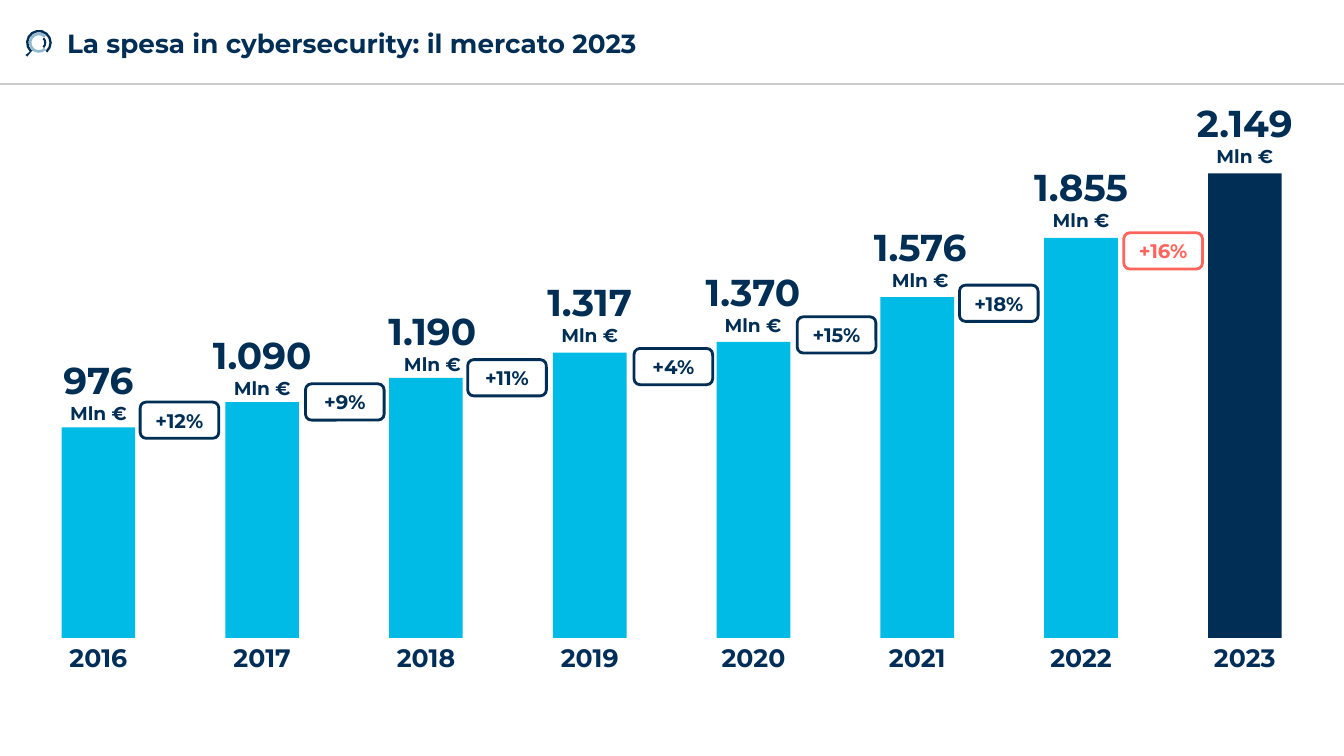
import math
import pptx
import pptx.util
import pptx.dml.color
import pptx.enum.shapes
import pptx.enum.text
from lxml import etree

Pt = pptx.util.Pt
Shape = pptx.enum.shapes.MSO_SHAPE
Align = pptx.enum.text.PP_ALIGN
Anchor = pptx.enum.text.MSO_ANCHOR
Fit = pptx.enum.text.MSO_AUTO_SIZE

COLORS = {"navy": "002E54", "year": "002E58", "cyan": "00BBE6", "coral": "FF655C",
          "steel": "91B9D0", "rule": "CCCCCC", "white": "FFFFFF"}

# year, value, bar height, label shift (x, y), growth to next year,
# badge place (right of bar middle, above bar top)
DATA = [
    ("2016", "976", 150.5, (0, 2.4), "+12%", (29.8, 18)),
    ("2017", "1.090", 168.5, (0, 2.4), "+9%", (30.9, 13)),
    ("2018", "1.190", 185.8, (4.6, 2.4), "+11%", (29.8, 13)),
    ("2019", "1.317", 203.8, (0, -0.4), "+4%", (31.6, 3)),
    ("2020", "1.370", 211.4, (-0.4, 0), "+15%", (31.2, 18)),
    ("2021", "1.576", 243.4, (2.1, 0), "+18%", (30.1, 8.6)),
    ("2022", "1.855", 285.8, (0, -0.4), "+16%", (30.5, 3.6)),
    ("2023", "2.149", 331.9, (0, 0), None, None),
]


def color(name):
    return pptx.dml.color.RGBColor.from_string(COLORS[name])


def paint(shape, fill, line=None):
    shape.shadow.inherit = False
    shape.fill.solid()
    shape.fill.fore_color.rgb = color(fill)
    if line:
        shape.line.color.rgb = color(line)
        shape.line.width = Pt(2)
    else:
        shape.line.fill.background()


def write(frame, lines, tint, align=Align.CENTER):
    """Fill a frame with one paragraph for each (text, size) pair."""
    for i, (text, size) in enumerate(lines):
        para = frame.add_paragraph() if i else frame.paragraphs[0]
        para.alignment = align
        run = para.add_run()
        run.text = text
        run.font.name = "Montserrat"
        run.font.size = Pt(size)
        run.font.bold = True
        run.font.color.rgb = color(tint)


def add_text(slide, box, lines, tint, align=Align.CENTER, anchor=Anchor.TOP,
             fit=Fit.SHAPE_TO_FIT_TEXT):
    frame = slide.shapes.add_textbox(*map(Pt, box)).text_frame
    frame.word_wrap = True
    frame.auto_size = fit
    frame.vertical_anchor = anchor
    write(frame, lines, tint, align)


def add_path(slide, points, fill):
    fine = [(x * 100, y * 100) for x, y in points]
    path = slide.shapes.build_freeform(*fine[0], scale=Pt(1) / 100)
    path.add_line_segments(fine[1:], close=True)
    paint(path.convert_to_shape(), fill)


def arc(mid, radius, start, stop):
    steps = round(abs(stop - start) / 25)
    turns = [math.radians(start + (stop - start) * i / steps) for i in range(steps + 1)]
    return [(mid[0] + radius * math.cos(t), mid[1] + radius * math.sin(t)) for t in turns]


def add_lens(slide, left, top):
    """Magnifier of three ring parts; the outer one carries the handle."""
    mid = (left + 9.8, top + 8.9)
    handle = [(left + 0.2, top + 17.7), (left + 1.5, top + 18.8), (left + 5.6, top + 13.9)]
    outer = arc(mid, 9.2, 50, -225) + handle + arc(mid, 7.5, -225, 50)
    add_path(slide, outer, "navy")
    for big, small, start, stop, tint in ((7.2, 5.3, 45, 315, "steel"),
                                          (5.3, 3.8, -45, 45, "navy")):
        add_path(slide, arc(mid, big, start, stop) + arc(mid, small, stop, start), tint)


def add_head(slide, left, top, width, height):
    # Rule under the header
    rule = slide.shapes.add_connector(pptx.enum.shapes.MSO_CONNECTOR.STRAIGHT,
                                      Pt(left), Pt(top + height),
                                      Pt(left + width), Pt(top + height))
    rule.line.color.rgb = color("rule")
    rule.line.width = Pt(1)
    etree.SubElement(rule._element.spPr, pptx.oxml.ns.qn("a:effectLst"))
    # Icon and title
    add_lens(slide, left + 18, top + 21.6)
    add_text(slide, (left + 40.8, top + 1.5, 539.3, height - 1.5),
             [("La spesa in cybersecurity: il mercato 2023", 18.7)],
             "navy", Align.LEFT, Anchor.MIDDLE, Fit.NONE)


def add_badge(slide, left, top, text, tint):
    badge = slide.shapes.add_shape(Shape.ROUNDED_RECTANGLE,
                                   Pt(left), Pt(top), Pt(56.2), Pt(25.9))
    paint(badge, "white", tint)
    frame = badge.text_frame
    frame.margin_left = frame.margin_right = frame.margin_top = frame.margin_bottom = 0
    frame.vertical_anchor = Anchor.MIDDLE
    write(frame, [(text, 14)], tint)


def add_bars(slide, left, top, width, height):
    base = top + height
    bar = 52.6
    last = len(DATA) - 1
    pitch = (width - bar) / last
    for i, (year, value, tall, (dx, dy), growth, place) in enumerate(DATA):
        mid = left + bar / 2 + i * pitch
        peak = base - tall
        # Bar with its year and value
        rect = slide.shapes.add_shape(Shape.RECTANGLE, Pt(mid - bar / 2), Pt(peak),
                                      Pt(bar), Pt(tall))
        paint(rect, "navy" if i == last else "cyan")
        add_text(slide, (mid - 39.6, base - 0.3, 79.2, 29), [(year, 18)], "year")
        add_text(slide, (mid - 44.6 + dx, peak - 55.8 + dy, 89.2, 55.4),
                 [(value, 26.7), ("Mln €", 13.3)], "navy")
        # Growth towards the next year
        if growth:
            add_badge(slide, mid + place[0], peak - place[1], growth,
                      "coral" if i == last - 1 else "navy")


def main():
    deck = pptx.Presentation()
    deck.slide_width, deck.slide_height = Pt(960), Pt(540)
    slide = deck.slides.add_slide(deck.slide_layouts[6])
    add_head(slide, 0, 0, 960, 60)
    add_bars(slide, 44, 123.8, 871.5, 331.9)
    deck.save("out.pptx")


if __name__ == "__main__":
    main()
